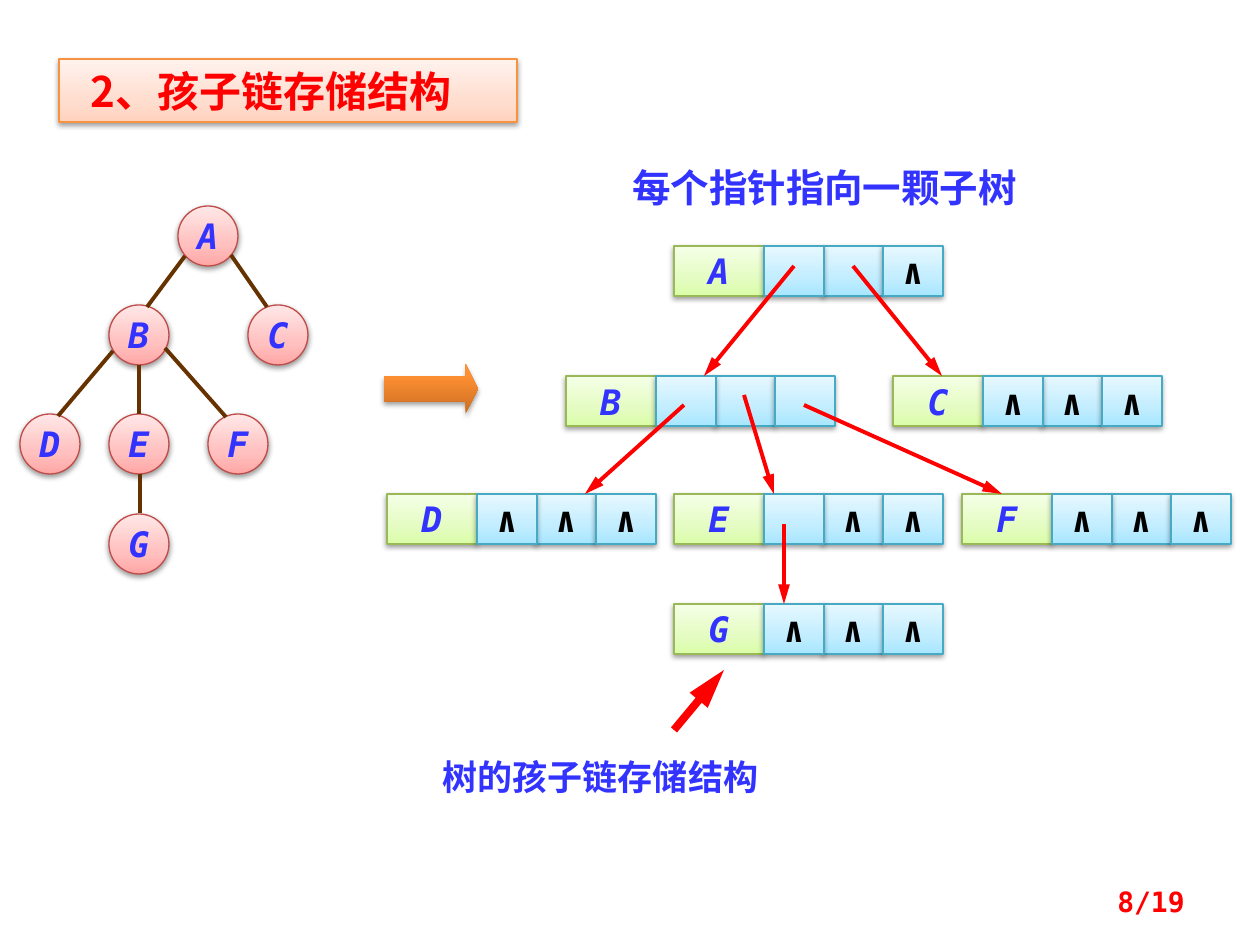
from lxml.etree import SubElement
from pptx import Presentation
from pptx.dml.color import RGBColor
from pptx.enum.shapes import MSO_CONNECTOR as Connector, MSO_SHAPE as Preset
from pptx.enum.text import MSO_ANCHOR as Anchor, PP_ALIGN as Align
from pptx.oxml.ns import qn
from pptx.util import Pt

EMU_PER_PX = 914400 / 126


def px(*lengths):
    return [round(length * EMU_PER_PX) for length in lengths]


def color(value):
    return RGBColor.from_string(value)


class TreeSlide:
    mono = "DejaVu Sans Mono"
    cjk = "Noto Sans CJK SC"
    blue, red, black, brown = "3333FF", "FF0000", "000000", "663300"
    peach = (("FFD2BD", 0), ("FFDED0", 35), ("FFF2ED", 100))
    pink = (("FFA6A5", 0), ("FFC0BF", 35), ("FFE7E7", 100))
    lime = (("DAFDA7", 0), ("E4FCC2", 35), ("F5FFE7", 100))
    sky = (("A7E6FF", 0), ("C1EDFF", 35), ("E7F8FF", 100))
    orange = (("CC6E20", 0), ("FF9034", 80), ("FF9136", 100))

    def __init__(self, slide):
        self.slide = slide

    def paint(self, shape, stops, outline=None):
        shape.fill.gradient()
        shape.fill.gradient_angle = 90
        properties = shape._element.spPr
        stop_list = properties.find(qn("a:gradFill")).find(qn("a:gsLst"))
        for stop in list(stop_list):
            stop_list.remove(stop)
        for value, percent in stops:
            stop = SubElement(stop_list, qn("a:gs"), pos=str(percent * 1000))
            SubElement(stop, qn("a:srgbClr"), val=value)
        if outline:
            shape.line.color.rgb = color(outline)
            shape.line.width = Pt(0.75)
        else:
            shape.line.fill.background()
        shape.shadow.inherit = False
        shadow = SubElement(properties.find(qn("a:effectLst")), qn("a:outerShdw"),
                            blurRad=str(Pt(3.1)), dist=str(Pt(1.6)),
                            dir="5400000", rotWithShape="0")
        shade = SubElement(shadow, qn("a:srgbClr"), val=self.black)
        SubElement(shade, qn("a:alpha"), val="38000")

    def label(self, shape, words, size, ink, align=Align.CENTER, italic=False,
              font=mono, wrap=True):
        frame = shape.text_frame
        frame.word_wrap = wrap
        frame.vertical_anchor = Anchor.MIDDLE
        paragraph = frame.paragraphs[0]
        paragraph.text = words
        paragraph.alignment = align
        paragraph.font.name = font
        paragraph.font.size = Pt(size)
        paragraph.font.bold = True
        paragraph.font.italic = italic
        paragraph.font.color.rgb = color(ink)

    def title(self, words, left, top, width, height):
        heading = self.slide.shapes.title
        heading.left, heading.top, heading.width, heading.height = px(left, top, width, height)
        self.paint(heading, self.peach, "F69240")
        self.label(heading, words, 24, self.red, Align.LEFT, font=self.cjk)
        heading.text_frame.margin_left = px(32)[0]

    def text(self, words, left, top, width, height, size, ink, align):
        caption = self.slide.shapes.add_textbox(*px(left, top, width, height))
        self.label(caption, words, size, ink, align)

    def block(self, preset, left, top, width, height, stops, outline=None):
        block = self.slide.shapes.add_shape(preset, *px(left, top, width, height))
        self.paint(block, stops, outline)
        return block

    def node(self, letter, left, top):
        circle = self.block(Preset.OVAL, left, top, 60, 60, self.pink, "BF4C48")
        self.label(circle, letter, 20, self.blue, italic=True, wrap=False)

    def record(self, letter, left, top, children):
        data = self.block(Preset.RECTANGLE, left, top, 90, 50, self.lime, "98B955")
        self.label(data, letter, 20, self.blue, italic=True, wrap=False)
        for index in (1, 0, 2):
            pointer = self.block(Preset.RECTANGLE, left + 90 + index * 119 // 2, top,
                                 60, 50, self.sky, "46AAC5")
            if index >= children:
                self.label(pointer, "∧", 20, self.black, wrap=False)

    def line(self, ends, ink, weight=2.25, arrow=False):
        link = self.slide.shapes.add_connector(Connector.STRAIGHT, *px(*ends))
        link.line.color.rgb = color(ink)
        link.line.width = Pt(weight)
        properties = link._element.spPr
        if arrow:
            SubElement(properties.find(qn("a:ln")), qn("a:tailEnd"),
                       type="triangle", w="med", len="lg")
        SubElement(properties, qn("a:effectLst"))

    def big_arrow(self, left, top, width, height):
        arrow = self.block(Preset.RIGHT_ARROW, left, top, width, height, self.orange)
        arrow.adjustments[1] = 0.25


NODES = (("A", 178, 206), ("B", 109, 305), ("C", 248, 305), ("D", 20, 414),
         ("E", 109, 414), ("F", 208, 414), ("G", 109, 514))
EDGES = ((185, 256, 147, 307), (231, 255, 267, 307), (139, 365, 139, 414),
         (113, 351, 58, 416), (165, 348, 226, 417), (140, 474, 140, 513))
RECORDS = (("A", 674, 246, 2), ("B", 566, 376, 3), ("C", 893, 376, 0), ("D", 387, 494, 0),
           ("E", 674, 494, 1), ("F", 962, 494, 0), ("G", 674, 604, 0))
POINTERS = ((794, 266, 704, 376), (853, 266, 942, 376), (684, 405, 585, 494),
            (744, 395, 774, 494), (804, 405, 1002, 494), (784, 524, 784, 604))


def main():
    deck = Presentation()
    deck.slide_width, deck.slide_height = px(1260, 945)
    tree = TreeSlide(deck.slides.add_slide(deck.slide_layouts[5]))
    tree.title("2、孩子链存储结构", 59, 59, 458, 63)
    for node in NODES:
        tree.node(*node)
    for edge in EDGES:
        tree.line(edge, tree.brown)
    tree.big_arrow(384, 364, 94, 50)
    for record in RECORDS:
        tree.record(*record)
    for pointer in POINTERS:
        tree.line(pointer, tree.red, arrow=True)
    tree.line((674, 730, 724, 670), tree.red, 4.5, arrow=True)
    tree.text("树的孩子链存储结构", 397, 748, 407, 56, 20, tree.blue, Align.CENTER)
    tree.text("每个指针指向一颗子树", 620, 158, 462, 59, 22, tree.blue, Align.LEFT)
    tree.text("8/19", 903, 876, 294, 50, 16, tree.red, Align.RIGHT)
    deck.save("out.pptx")


if __name__ == "__main__":
    main()
